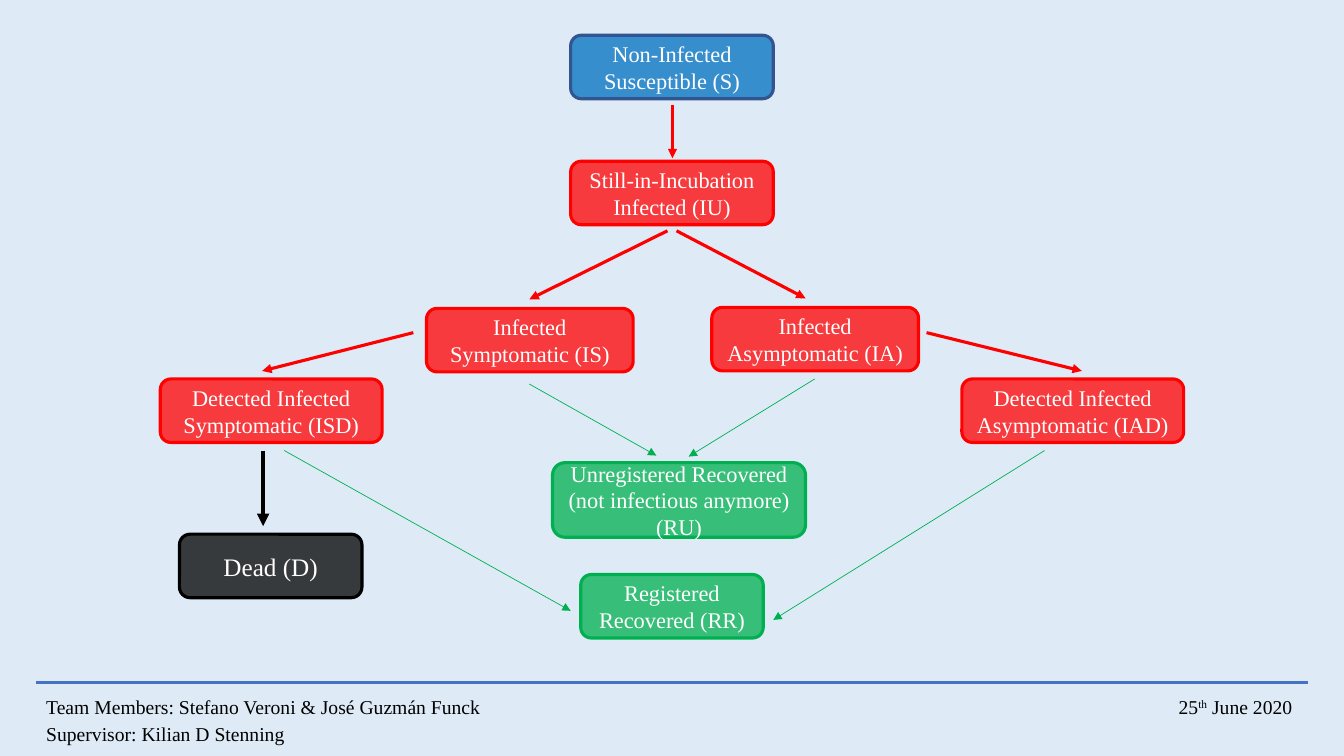
import pptx
import pptx.dml.color
import pptx.enum.shapes
import pptx.enum.text
import pptx.oxml
import pptx.oxml.ns
import pptx.util
from lxml import etree

Inches = pptx.util.Inches
FONT = "Times New Roman"
COLORS = {
    "background": "DEEBF7", "rule": "4472C4", "white": "FFFFFF", "black": "000000",
    "blue": "0070C0", "navy": "325491", "red": "FF0000", "green": "00B050",
}
BOX_HEIGHT = 0.63
STATES = [
    ("Non-Infected Susceptible (S)", 5.66, 0.35, 2.01, "blue", "navy"),
    ("Still-in-Incubation Infected (IU)", 5.66, 1.6, 2.01, "red", "red"),
    ("Infected Symptomatic (IS)", 4.23, 3.06, 2.05, "red", "red"),
    ("Infected Asymptomatic (IA)", 7.06, 3.05, 2.05, "red", "red"),
    ("Detected Infected Symptomatic (ISD)", 1.59, 3.76, 2.2, "red", "red"),
    ("Detected Infected Asymptomatic (IAD)", 9.54, 3.76, 2.2, "red", "red"),
    ("Registered Recovered (RR)", 5.76, 5.7, 1.81, "green", "green"),
]
ARROWS = [
    ((6.67, 1.04), (6.67, 1.57), "red", 2.25),
    ((6.62, 2.29), (5.25, 2.97), "red", 2.25),
    ((6.71, 2.29), (7.99, 2.96), "red", 2.25),
    ((4.1, 3.3), (2.6, 3.68), "red", 2.25),
    ((9.19, 3.3), (10.73, 3.68), "red", 2.25),
    ((2.61, 4.47), (2.61, 5.22), "black", 3),
    ((2.82, 4.47), (5.66, 6.06), "green", 0.5),
    ((10.36, 4.47), (7.67, 6.15), "green", 0.5),
    ((8.08, 3.76), (6.83, 4.53), "green", 0.5),
    ((5.25, 3.81), (6.51, 4.52), "green", 0.5),
]


def rgb(name):
    return pptx.dml.color.RGBColor.from_string(COLORS[name])


def add_text(paragraph, text, size=16, color="white", baseline=None):
    run = paragraph.add_run()
    run.text = text
    run.font.name = FONT
    run.font.size = pptx.util.Pt(size)
    run.font.color.rgb = rgb(color)
    if baseline:
        run.font._element.set("baseline", str(baseline))


def add_line(slide, start, end, color, width, arrow=True):
    connector = slide.shapes.add_connector(
        pptx.enum.shapes.MSO_CONNECTOR.STRAIGHT, *map(Inches, start + end))
    connector.line.color.rgb = rgb(color)
    connector.line.width = pptx.util.Pt(width)
    if arrow:
        line = connector.line._get_or_add_ln()
        etree.SubElement(line, pptx.oxml.ns.qn("a:tailEnd"), type="triangle")
    properties = connector._element.spPr
    etree.SubElement(properties, pptx.oxml.ns.qn("a:effectLst"))


def add_state(slide, text, left, top, width, fill, line, height=BOX_HEIGHT, size=16):
    shape = slide.shapes.add_shape(
        pptx.enum.shapes.MSO_SHAPE.ROUNDED_RECTANGLE,
        *map(Inches, (left, top, width, height)))
    shape.shadow.inherit = False
    shape.fill.solid()
    shape.fill.fore_color.rgb = rgb(fill)
    fill_color = shape._element.spPr.find(".//" + pptx.oxml.ns.qn("a:srgbClr"))
    etree.SubElement(fill_color, pptx.oxml.ns.qn("a:alpha"), val="75000")
    shape.line.color.rgb = rgb(line)
    shape.line.width = pptx.util.Pt(2.25)
    frame = shape.text_frame
    frame.word_wrap = True
    frame.vertical_anchor = pptx.enum.text.MSO_ANCHOR.MIDDLE
    for index, part in enumerate(text.split("\n")):
        paragraph = frame.add_paragraph() if index else frame.paragraphs[0]
        paragraph.alignment = pptx.enum.text.PP_ALIGN.CENTER
        add_text(paragraph, part, size=size)


def add_footer(slide):
    add_line(slide, (0.36, 6.77), (12.97, 6.77), "rule", 2.25, arrow=False)
    box = slide.shapes.add_textbox(*map(Inches, (0.36, 6.89, 12.7, 0.58)))
    frame = box.text_frame
    frame.word_wrap = True
    credits = frame.paragraphs[0]
    supervisor = frame.add_paragraph()
    for paragraph in (credits, supervisor):
        paragraph.line_spacing = 0.8
        paragraph.space_after = pptx.util.Pt(6)
    tabs = etree.SubElement(credits._p.get_or_add_pPr(), pptx.oxml.ns.qn("a:tabLst"))
    etree.SubElement(tabs, pptx.oxml.ns.qn("a:tab"), pos=str(Inches(12.36)), algn="r")
    footer_format = {"size": 14, "color": "black"}
    add_text(credits, "Team Members: Stefano Veroni & José Guzmán Funck\t25", **footer_format)
    add_text(credits, "th", baseline=30000, **footer_format)
    add_text(credits, " June 2020", **footer_format)
    add_text(supervisor, "Supervisor: Kilian D Stenning", **footer_format)


def main():
    presentation = pptx.Presentation()
    presentation.slide_width = Inches(13.33)
    presentation.slide_height = Inches(7.5)
    slide = presentation.slides.add_slide(presentation.slide_layouts[6])
    slide.background.fill.solid()
    slide.background.fill.fore_color.rgb = rgb("background")
    add_footer(slide)
    for arrow in ARROWS:
        add_line(slide, *arrow)
    for state in STATES:
        add_state(slide, *state)
    add_state(slide, "Dead (D)", 1.78, 5.3, 1.81, "black", "black", size=18)
    add_state(slide, "Unregistered Recovered\n(not infectious anymore) (RU)",
              5.48, 4.59, 2.51, "green", "green", height=0.74)
    presentation.save("out.pptx")


if __name__ == "__main__":
    main()
